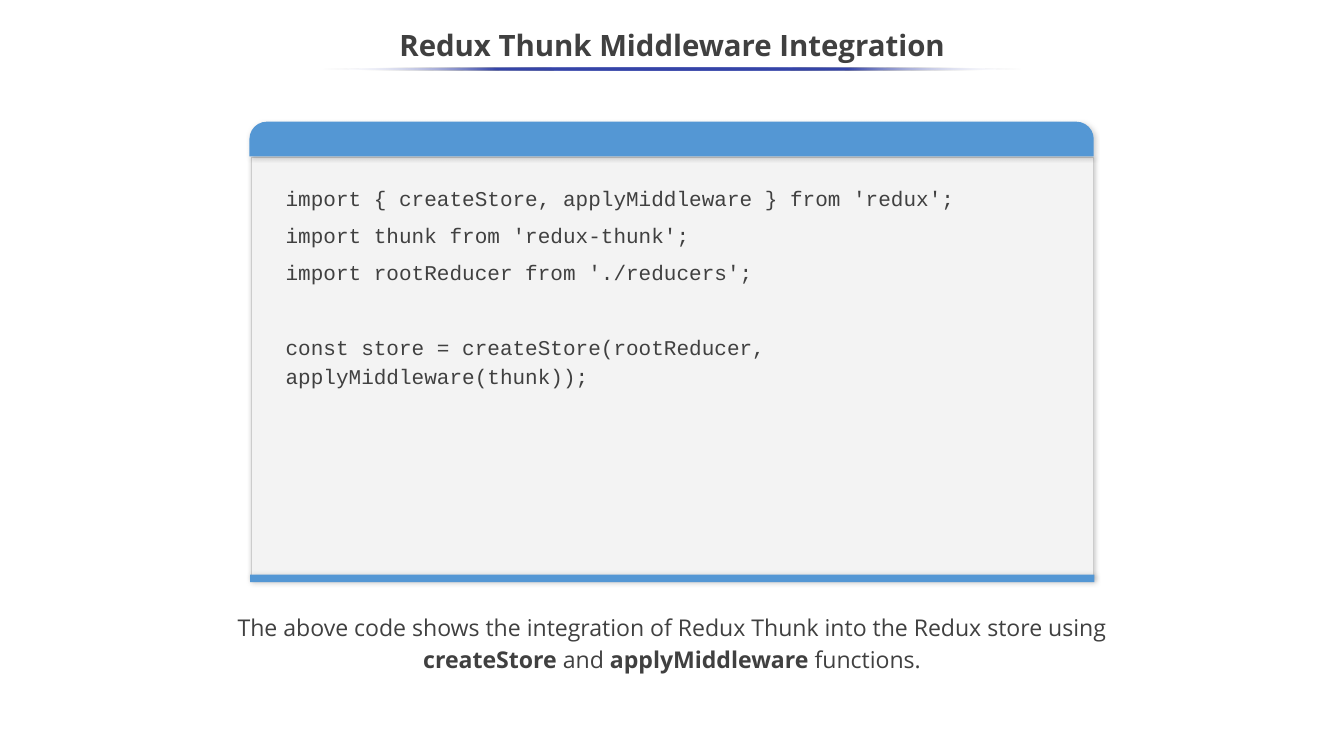
"""Build a slide that shows a code window with a title and a caption."""
from pptx import Presentation
from pptx.dml.color import RGBColor
from pptx.enum.shapes import MSO_SHAPE as Preset
from pptx.enum.text import MSO_ANCHOR as Anchor, MSO_AUTO_SIZE as Fit, PP_ALIGN as Align
from pptx.oxml import parse_xml
from pptx.oxml.ns import nsdecls
from pptx.util import Inches, Pt

INK = RGBColor(0x40, 0x40, 0x40)
PANEL = RGBColor(0xF3, 0xF3, 0xF3)
EDGE = RGBColor(0xCC, 0xCC, 0xCC)
BLUE = RGBColor(0x54, 0x97, 0xD4)
INDIGO = RGBColor(0x36, 0x45, 0xA9)
WHITE = RGBColor(0xFF, 0xFF, 0xFF)

deck = Presentation()
deck.slide_width, deck.slide_height = Inches(17.78), Inches(10)
slide = deck.slides.add_slide(deck.slide_layouts[6])


def area(left, top, width, height):
    """Turn percentages of the slide into lengths."""
    sides = (deck.slide_width, deck.slide_height) * 2
    return [int(side * share / 100) for side, share in zip(sides, (left, top, width, height))]


def write(place, paragraphs, font, paragraph_format, frame_format):
    """Add a text box whose paragraphs are lists of (text, bold) pairs."""
    frame = slide.shapes.add_textbox(*area(*place)).text_frame
    for key, value in frame_format.items():
        setattr(frame, key, value)
    for index, pieces in enumerate(paragraphs):
        paragraph = frame.add_paragraph() if index else frame.paragraphs[0]
        for key, value in paragraph_format.items():
            setattr(paragraph, key, value)
        for text, bold in pieces:
            run = paragraph.add_run()
            run.text = text
            run.font.color.rgb = INK
            for key, value in {**font, "bold": bold}.items():
                setattr(run.font, key, value)
    return frame


write((0, 2.5, 100, 7.5), [[("Redux Thunk Middleware Integration", True)]],
      {"name": "Open Sans", "size": Pt(28)},
      {"alignment": Align.CENTER, "line_spacing": 0.9},
      {"word_wrap": True, "vertical_anchor": Anchor.MIDDLE})

window = slide.shapes.add_group_shape()
for preset, place, color in (
    (Preset.RECTANGLE, (18.67, 20.8, 62.71, 55.7), PANEL),
    (Preset.RECTANGLE, (18.62, 76, 62.82, 1), BLUE),
    (Preset.ROUND_2_SAME_RECTANGLE, (18.56, 16.1, 62.82, 4.6), BLUE),
):
    part = window.shapes.add_shape(preset, *area(*place))
    part.fill.solid()
    part.fill.fore_color.rgb = color
    if color == PANEL:
        part.line.color.rgb = EDGE
        part.line.width = Pt(0.75)
    else:
        part.line.fill.background()
    if preset == Preset.ROUND_2_SAME_RECTANGLE:
        part.adjustments[0] = 0.5
    part._element.spPr.append(parse_xml(
        f'<a:effectLst {nsdecls("a")}><a:outerShdw blurRad="{Pt(4.5)}" dist="{Pt(1.5)}" '
        f'dir="{47 * 60000}" algn="tl" rotWithShape="0"><a:srgbClr val="000000">'
        '<a:alpha val="20000"/></a:srgbClr></a:outerShdw></a:effectLst>'))

code_lines = (
    "import { createStore, applyMiddleware } from 'redux';",
    "import thunk from 'redux-thunk';",
    "import rootReducer from './reducers';",
    "const store = createStore(rootReducer, applyMiddleware(thunk));",
)
code = write((20.7, 23.5, 58.66, 28.6), [[(line, False)] for line in code_lines],
             {"name": "Courier New", "size": Pt(20)},
             {"line_spacing": 1.15, "space_after": Pt(8)},
             {"word_wrap": True, "auto_size": Fit.SHAPE_TO_FIT_TEXT})
code.paragraphs[-1].space_before = Pt(35.5)

caption = [
    ("The above code shows the integration of Redux Thunk into the Redux store using ", False),
    ("createStore", True),
    (" and ", False),
    ("applyMiddleware ", True),
    ("functions.", False),
]
write((16.99, 80.1, 66.03, 9.3), [caption],
      {"name": "Open Sans", "size": Pt(22)},
      {"alignment": Align.CENTER, "line_spacing": 1.15},
      {"word_wrap": True, "auto_size": Fit.SHAPE_TO_FIT_TEXT})

underline = slide.shapes.add_shape(Preset.OVAL, *area(23.9, 8.9, 52.19, 0.4))
underline.shadow.inherit = False
underline.line.fill.background()
stops = "".join(
    f'<a:gs pos="{share * 1000}"><a:srgbClr val="{color}"><a:alpha val="{alpha * 1000}"/></a:srgbClr></a:gs>'
    for share, color, alpha in ((0, WHITE, 0), (25, INDIGO, 100), (50, INDIGO, 100),
                                (75, INDIGO, 100), (100, WHITE, 0)))
underline._element.spPr.prstGeom.addnext(parse_xml(
    f'<a:gradFill {nsdecls("a")}><a:gsLst>{stops}</a:gsLst>'
    f'<a:lin ang="{180 * 60000}" scaled="0"/></a:gradFill>'))

deck.save("out.pptx")
